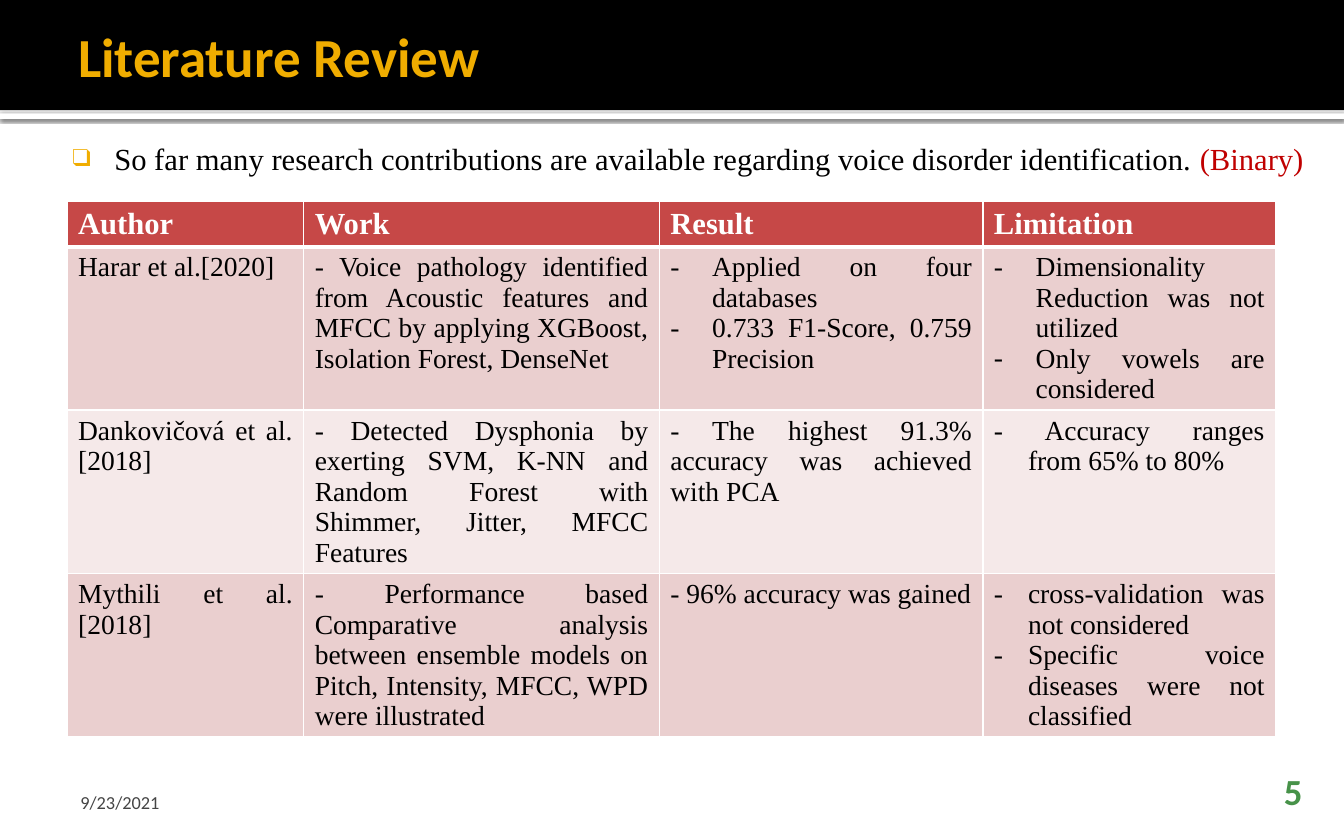
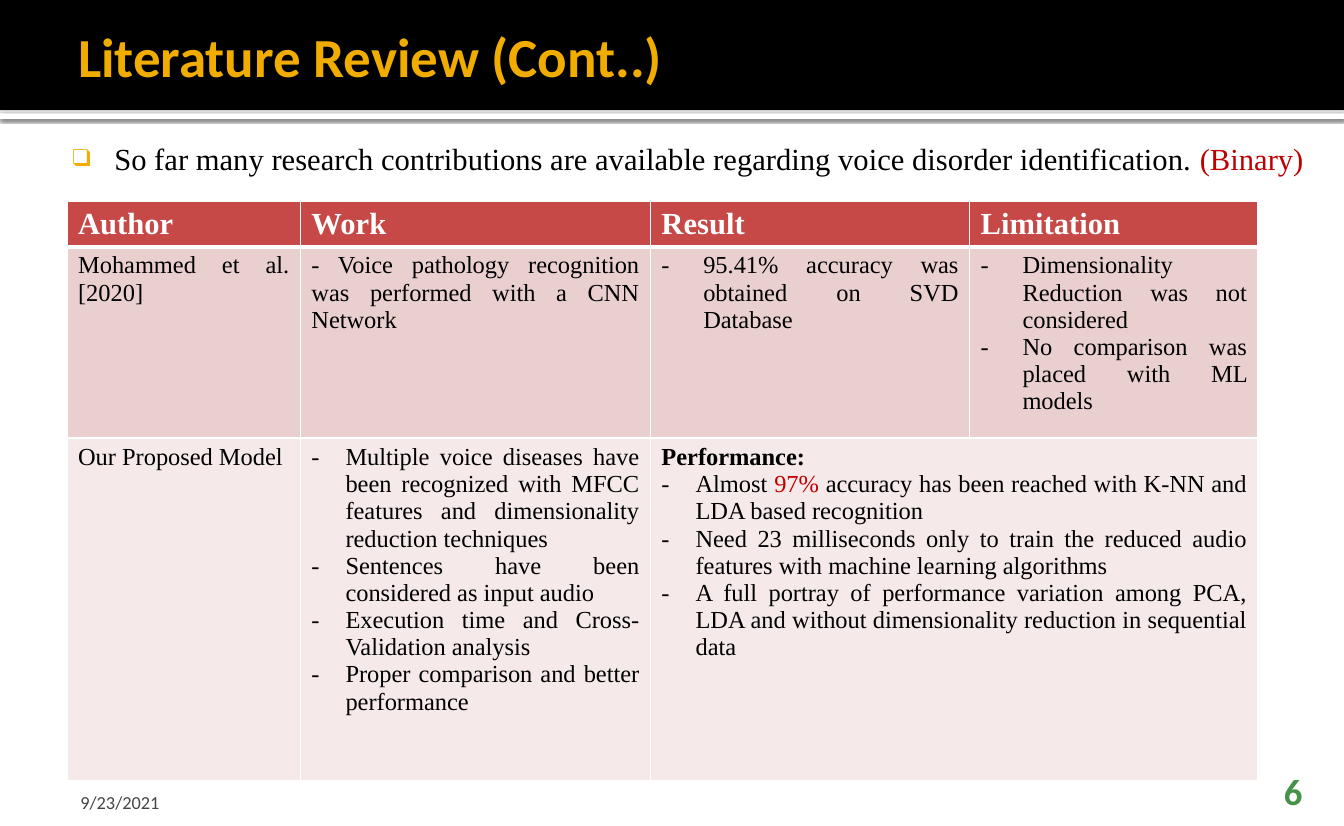
from lxml import etree
from pptx import Presentation
from pptx.dml.color import RGBColor
from pptx.enum.shapes import MSO_SHAPE
from pptx.enum.text import MSO_ANCHOR, MSO_AUTO_SIZE, PP_ALIGN
from pptx.oxml.ns import qn
from pptx.util import Pt

PX = 9144  # 100 px to the inch
RECT = MSO_SHAPE.RECTANGLE
TOP, MID, LOW = MSO_ANCHOR.TOP, MSO_ANCHOR.MIDDLE, MSO_ANCHOR.BOTTOM
LEFT, RIGHT, FULL = PP_ALIGN.LEFT, PP_ALIGN.RIGHT, PP_ALIGN.JUSTIFY
NOFIT = MSO_AUTO_SIZE.NONE

BLACK = RGBColor(0x00, 0x00, 0x00)
WHITE = RGBColor(0xFF, 0xFF, 0xFF)
GOLD = RGBColor(0xF0, 0xAD, 0x00)
RED = RGBColor(0xC0, 0x00, 0x00)
GREY = RGBColor(0x45, 0x45, 0x45)
GREEN = RGBColor(0x47, 0x92, 0x49)
HEAD = RGBColor(0xC6, 0x48, 0x47)
ROSE = RGBColor(0xEA, 0xCF, 0xCF)
PALE = RGBColor(0xF5, 0xE9, 0xE9)
SANS, SERIF = "Calibri", "Times New Roman"

# Paragraph formats
PLAIN = {}
BOLD = {"bold": True}
WIDE = {"mark": "-", "hang": 38}
SLIM = {"mark": "-", "hang": 31}
HANG = {"hang": 31}

# A cell is a text, or groups of one format and its paragraphs
HEADS = ["Author", "Work", "Result", "Limitation"]
PAGES = [
    {
        "title": "Literature Review", "page": "5", "size": 18,
        "cols": [215, 323, 294, 266], "rows": [40, 148, 148, 148],
        "body": [
            ["Harar et al.[2020]",
             "- Voice pathology identified from Acoustic features and MFCC "
             "by applying XGBoost, Isolation Forest, DenseNet",
             [(WIDE, "Applied on four databases",
               "0.733 F1-Score, 0.759 Precision")],
             [(WIDE, "Dimensionality Reduction was not utilized",
               "Only vowels are considered")]],
            ["Dankovičová et al. [2018]",
             "- Detected Dysphonia by exerting SVM, K-NN and Random Forest "
             "with Shimmer, Jitter, MFCC Features",
             "- The highest 91.3% accuracy was achieved with PCA",
             [(HANG, "- Accuracy ranges\nfrom 65% to 80%")]],
            ["Mythili et al. [2018]",
             "- Performance based Comparative analysis between ensemble "
             "models on Pitch, Intensity, MFCC, WPD were illustrated",
             "- 96% accuracy was gained",
             [(SLIM, "cross-validation was not considered",
               "Specific voice diseases were not classified")]],
        ],
    },
    {
        "title": "Literature Review (Cont..)", "page": "6", "size": 16,
        "cols": [212, 318, 290, 262], "rows": [40, 174, 311],
        "body": [
            ["Mohammed et al. [2020]",
             "- Voice pathology recognition was performed with a CNN Network",
             [(WIDE, "95.41% accuracy was obtained on SVD Database")],
             [(WIDE, "Dimensionality Reduction was not considered",
               "No comparison was placed with ML models")]],
            ["Our Proposed Model",
             [(SLIM, "Multiple voice diseases have been recognized with MFCC "
               "features and dimensionality reduction techniques",
               "Sentences have been considered as input audio",
               "Execution time and Cross-Validation analysis",
               "Proper comparison and better performance")],
             [(BOLD, "Performance:"),
              (SLIM, [("Almost ", BLACK), ("97% ", RED),
                      ("accuracy has been reached with K-NN and LDA based "
                       "recognition", BLACK)],
               "Need 23 milliseconds only to train the reduced audio "
               "features with machine learning algorithms",
               "A full portray of performance variation among PCA, LDA and "
               "without dimensionality reduction in sequential data")]],
        ],
    },
]


def put(frame, text, size=18, color=BLACK, font=SERIF, bold=False,
        align=LEFT, mark=None, hang=0, tint=None, scale=100):
    """Add one paragraph; text is a string or a list of (string, colour)."""
    para = frame.paragraphs[0]
    if para.runs:
        para = frame.add_paragraph()
    para.alignment = align
    for part, shade in [(text, color)] if isinstance(text, str) else text:
        for i, line in enumerate(part.split("\n")):
            if i:
                para.add_line_break()
            run = para.add_run()
            run.text = line
            run.font.size, run.font.name = Pt(size), font
            run.font.bold, run.font.color.rgb = bold, shade
    props = para._p.get_or_add_pPr()
    props.set("marL", str(hang * PX))
    props.set("indent", str(-hang * PX))
    if tint:
        node = etree.SubElement(props, qn("a:buClr"))
        etree.SubElement(node, qn("a:srgbClr"), val=str(tint))
    if mark:
        etree.SubElement(props, qn("a:buSzPct"), val=str(scale * 1000))
        etree.SubElement(props, qn("a:buFont"), typeface=font)
        etree.SubElement(props, qn("a:buChar"), char=mark)
    else:
        etree.SubElement(props, qn("a:buNone"))


def setup(shape, box, pads, anchor):
    """Place a text shape and set its insets; return its frame."""
    shape.left, shape.top, shape.width, shape.height = [v * PX for v in box]
    frame = shape.text_frame
    frame.word_wrap, frame.auto_size = True, NOFIT
    frame.vertical_anchor = anchor
    (frame.margin_left, frame.margin_top,
     frame.margin_right, frame.margin_bottom) = [v * PX for v in pads]
    return frame


deck = Presentation()
deck.slide_width, deck.slide_height = 1221 * PX, 750 * PX

for page in PAGES:
    slide = deck.slides.add_slide(deck.slide_layouts[5])
    shapes = slide.shapes
    title = shapes.title

    # Bands behind the title
    for top, high, color in [(103, 5, WHITE), (0, 100, BLACK)]:
        band = shapes.add_shape(RECT, 0, top * PX, 1221 * PX, high * PX)
        band.fill.solid()
        band.fill.fore_color.rgb = color
        band.line.fill.background()
        band.shadow.inherit = False
        if color == WHITE:
            glow = etree.SubElement(
                band.element.spPr.find(qn("a:effectLst")), qn("a:outerShdw"),
                blurRad=str(Pt(2.5)), dist=str(Pt(0.8)), dir="5400000",
                algn="tl", rotWithShape="0")
            shade = etree.SubElement(glow, qn("a:srgbClr"), val=str(BLACK))
            etree.SubElement(shade, qn("a:alpha"), val="60000")
        title.element.addprevious(band.element)

    # Title
    frame = setup(title, (61, 13, 1099, 75), (10, 5, 5, 5), MID)
    put(frame, page["title"], size=36, color=GOLD, font=SANS, bold=True)

    # Lead line
    lead = shapes.add_textbox(0, 0, PX, PX)
    frame = setup(lead, (56, 117, 1152, 583), (10, 10, 10, 5), TOP)
    put(frame, [("So far many research contributions are available regarding "
                 "voice disorder identification. ", BLACK),
                ("(Binary)", RED)],
        size=20, align=FULL, mark="❑", hang=38, tint=GOLD, scale=80)

    # Footer
    date = shapes.add_textbox(0, 0, PX, PX)
    frame = setup(date, (61, 708, 285, 30), (12, 5, 5, 0), LOW)
    put(frame, "9/23/2021", size=12, color=GREY, font=SANS)
    num = shapes.add_textbox(0, 0, PX, PX)
    frame = setup(num, (1095, 708, 98, 30), (10, 5, 10, 0), LOW)
    put(frame, page["page"], size=24, color=GREEN, font=SANS, bold=True,
        align=RIGHT)

    # Table
    cols, rows = page["cols"], page["rows"]
    grid = shapes.add_table(len(rows), len(cols), 61 * PX, 183 * PX,
                            sum(cols) * PX, sum(rows) * PX).table
    for col, wide in zip(grid.columns, cols):
        col.width = wide * PX
    for row, high in zip(grid.rows, rows):
        row.height = high * PX

    for r, line in enumerate([HEADS] + page["body"]):
        if len(line) < len(cols):
            grid.cell(r, len(line) - 1).merge(grid.cell(r, len(cols) - 1))
        for c in range(len(cols)):
            cell = grid.cell(r, c)
            cell.fill.solid()
            cell.fill.fore_color.rgb = (HEAD, ROSE, PALE)[
                0 if r == 0 else 2 - r % 2]
            props = cell._tc.get_or_add_tcPr()
            for i, side in enumerate(["lnL", "lnR", "lnT", "lnB"]):
                thick = (r, side) in [(0, "lnB"), (1, "lnT")]
                edge = etree.Element(qn("a:" + side),
                                     w=str(Pt(3 if thick else 1)))
                paint = etree.SubElement(edge, qn("a:solidFill"))
                etree.SubElement(paint, qn("a:srgbClr"), val=str(WHITE))
                props.insert(i, edge)
        for c, item in enumerate(line):
            frame = grid.cell(r, c).text_frame
            if r == 0:
                put(frame, item, size=20, color=WHITE, bold=True)
                continue
            groups = [(PLAIN, item)] if isinstance(item, str) else item
            for style, *texts in groups:
                for text in texts:
                    put(frame, text, size=page["size"], align=FULL, **style)

deck.save("out.pptx")
